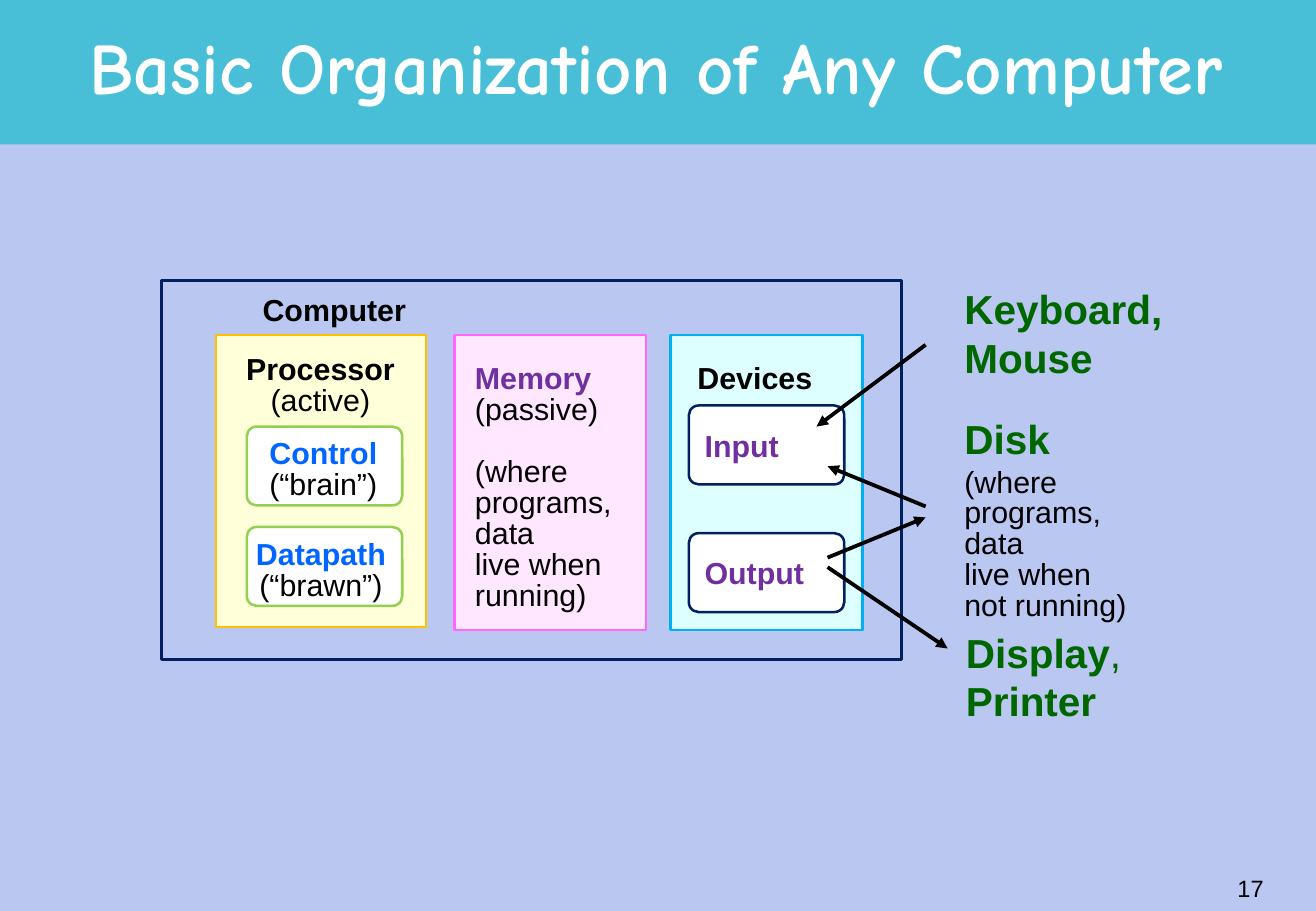
from dataclasses import dataclass

from lxml import etree
from pptx import Presentation
from pptx.dml.color import RGBColor
from pptx.enum.shapes import MSO_CONNECTOR, MSO_SHAPE
from pptx.enum.text import MSO_ANCHOR, PP_ALIGN
from pptx.oxml.ns import qn
from pptx.util import Cm, Pt

RECT, ROUNDED = MSO_SHAPE.RECTANGLE, MSO_SHAPE.ROUNDED_RECTANGLE
STRAIGHT = MSO_CONNECTOR.STRAIGHT
LEFT, CENTER, RIGHT = PP_ALIGN.LEFT, PP_ALIGN.CENTER, PP_ALIGN.RIGHT
TOP, MIDDLE = MSO_ANCHOR.TOP, MSO_ANCHOR.MIDDLE


@dataclass(frozen=True)
class Theme:
    background: RGBColor = RGBColor.from_string("BAC8F1")
    band: RGBColor = RGBColor.from_string("49BFD7")
    white: RGBColor = RGBColor.from_string("FFFFFF")
    black: RGBColor = RGBColor.from_string("000000")
    navy: RGBColor = RGBColor.from_string("002060")
    cream: RGBColor = RGBColor.from_string("FFFFD9")
    gold: RGBColor = RGBColor.from_string("FFC000")
    blush: RGBColor = RGBColor.from_string("FFE7FF")
    pink: RGBColor = RGBColor.from_string("FF66FF")
    ice: RGBColor = RGBColor.from_string("DDFFFF")
    sky: RGBColor = RGBColor.from_string("00B0F0")
    lime: RGBColor = RGBColor.from_string("92D050")
    blue: RGBColor = RGBColor.from_string("0066FF")
    purple: RGBColor = RGBColor.from_string("7030A0")
    green: RGBColor = RGBColor.from_string("006600")
    title_font: str = "Comic Neue"
    body_font: str = "Arial"
    title_size: int = 43
    outside_size: int = 24
    body_size: int = 18
    number_size: int = 14
    outline: float = 1.5
    arrow: float = 2.25
    tight: float = 0.85


theme = Theme()
prs = Presentation()
prs.slide_width, prs.slide_height = Cm(27.51), Cm(19.05)
slide = prs.slides.add_slide(prs.slide_layouts[6])
slide.background.fill.solid()
slide.background.fill.fore_color.rgb = theme.background


def add_frame(left, top, width, height, inset=(0.18, 0.08), anchor=TOP):
    box = slide.shapes.add_textbox(Cm(left), Cm(top), Cm(width), Cm(height))
    frame = box.text_frame
    frame.word_wrap = True
    frame.vertical_anchor = anchor
    frame.margin_left = frame.margin_right = Cm(inset[0])
    frame.margin_top = frame.margin_bottom = Cm(inset[1])
    return frame


def write(frame, text, *, size=theme.body_size, color=theme.black, bold=False,
          font=theme.body_font, align=LEFT, spacing=theme.tight, before=0,
          same_line=False):
    line = frame.paragraphs[-1]
    if line.runs and not same_line:
        line = frame.add_paragraph()
    line.alignment = align
    line.line_spacing = spacing
    line.space_before = Pt(before)
    run = line.add_run()
    run.text = text
    run.font.name, run.font.size, run.font.bold = font, Pt(size), bold
    run.font.color.rgb = color


# Title band, computer outline, its three parts and their inner units
panels = [
    (RECT, 0, 0, 27.51, 3.02, theme.band, None),
    (RECT, 3.38, 5.87, 15.47, 7.92, None, theme.navy),
    (RECT, 4.52, 7.01, 4.39, 6.1, theme.cream, theme.gold),
    (RECT, 9.5, 7.01, 4.01, 6.17, theme.blush, theme.pink),
    (RECT, 14.02, 7.01, 4.01, 6.17, theme.ice, theme.sky),
    (ROUNDED, 5.16, 8.92, 3.25, 1.65, theme.white, theme.lime),
    (ROUNDED, 5.16, 11.02, 3.25, 1.65, theme.white, theme.lime),
    (ROUNDED, 14.4, 8.48, 3.25, 1.65, theme.white, theme.navy),
    (ROUNDED, 14.4, 11.15, 3.25, 1.65, theme.white, theme.navy),
]
for kind, left, top, width, height, fill, outline in panels:
    panel = slide.shapes.add_shape(kind, Cm(left), Cm(top), Cm(width), Cm(height))
    panel.shadow.inherit = False
    if kind == ROUNDED:
        panel.adjustments[0] = 0.125
    if fill is None:
        panel.fill.background()
    else:
        panel.fill.solid()
        panel.fill.fore_color.rgb = fill
    if outline is None:
        panel.line.fill.background()
    else:
        panel.line.color.rgb = outline
        panel.line.width = Pt(theme.outline)

# Title and page number
title = add_frame(-0.36, 0.36, 28.14, 2.01, (0.25, 0.13), MIDDLE)
write(title, "Basic Organization of Any Computer", size=theme.title_size,
      color=theme.white, bold=True, font=theme.title_font, align=CENTER, spacing=1)
number = add_frame(20.93, 17.93, 5.74, 1.27, (0.25, 0.13), MIDDLE)
write(number, "17", size=theme.number_size, align=RIGHT, spacing=1)

# Single-line labels inside the computer
for label, left, top, color in [
    ("Computer", 5.31, 6.12, theme.black),
    ("Devices", 14.4, 7.54, theme.black),
    ("Input", 14.55, 8.97, theme.purple),
    ("Output", 14.55, 11.63, theme.purple),
]:
    write(add_frame(left, top, 3.63, 0.79), label, color=color, bold=True)

# Processor and its units, each with a role underneath
for unit, role, left, top, color in [
    ("Processor", "(active)", 4.73, 7.37, theme.black),
    ("Control", "(“brain”)", 4.79, 9.12, theme.blue),
    ("Datapath", "(“brawn”)", 4.74, 11.23, theme.blue),
]:
    caption = add_frame(left, top, 3.94, 1.45)
    write(caption, unit, color=color, bold=True, align=CENTER)
    write(caption, role, align=CENTER)

# Memory
memory = add_frame(9.75, 7.54, 3.7, 5.38)
write(memory, "Memory", color=theme.purple, bold=True)
write(memory, "(passive)")
write(memory, "(where", before=18.4)
for line in ("programs,", "data", "live when", "running)"):
    write(memory, line)

# Outside devices
outside = dict(size=theme.outside_size, color=theme.green, spacing=1)
keyboard = add_frame(19.91, 5.82, 5.31, 2.29, (0.25, 0.13))
write(keyboard, "Keyboard,", bold=True, **outside)
write(keyboard, "Mouse", bold=True, **outside)

disk = add_frame(19.91, 8.53, 5.05, 4.62, (0.25, 0.13))
write(disk, "Disk", bold=True, **outside)
write(disk, "(where", spacing=1)
for line in ("programs,", "data", "live when", "not running)"):
    write(disk, line)

display = add_frame(19.94, 13, 4.32, 2.29, (0.25, 0.13))
write(display, "Display", bold=True, **outside)
write(display, ",", same_line=True, **outside)
write(display, "Printer", bold=True, **outside)

# Data flow arrows
for x1, y1, x2, y2 in [
    (19.35, 7.21, 17.07, 8.92),
    (19.35, 10.59, 17.3, 9.75),
    (17.3, 11.66, 19.35, 10.82),
    (17.3, 11.86, 19.81, 13.56),
]:
    flow = slide.shapes.add_connector(STRAIGHT, Cm(x1), Cm(y1), Cm(x2), Cm(y2))
    flow.line.color.rgb = theme.black
    flow.line.width = Pt(theme.arrow)
    etree.SubElement(flow.line._get_or_add_ln(), qn("a:tailEnd"), type="triangle")
    etree.SubElement(flow._element.spPr, qn("a:effectLst"))

prs.save("out.pptx")
